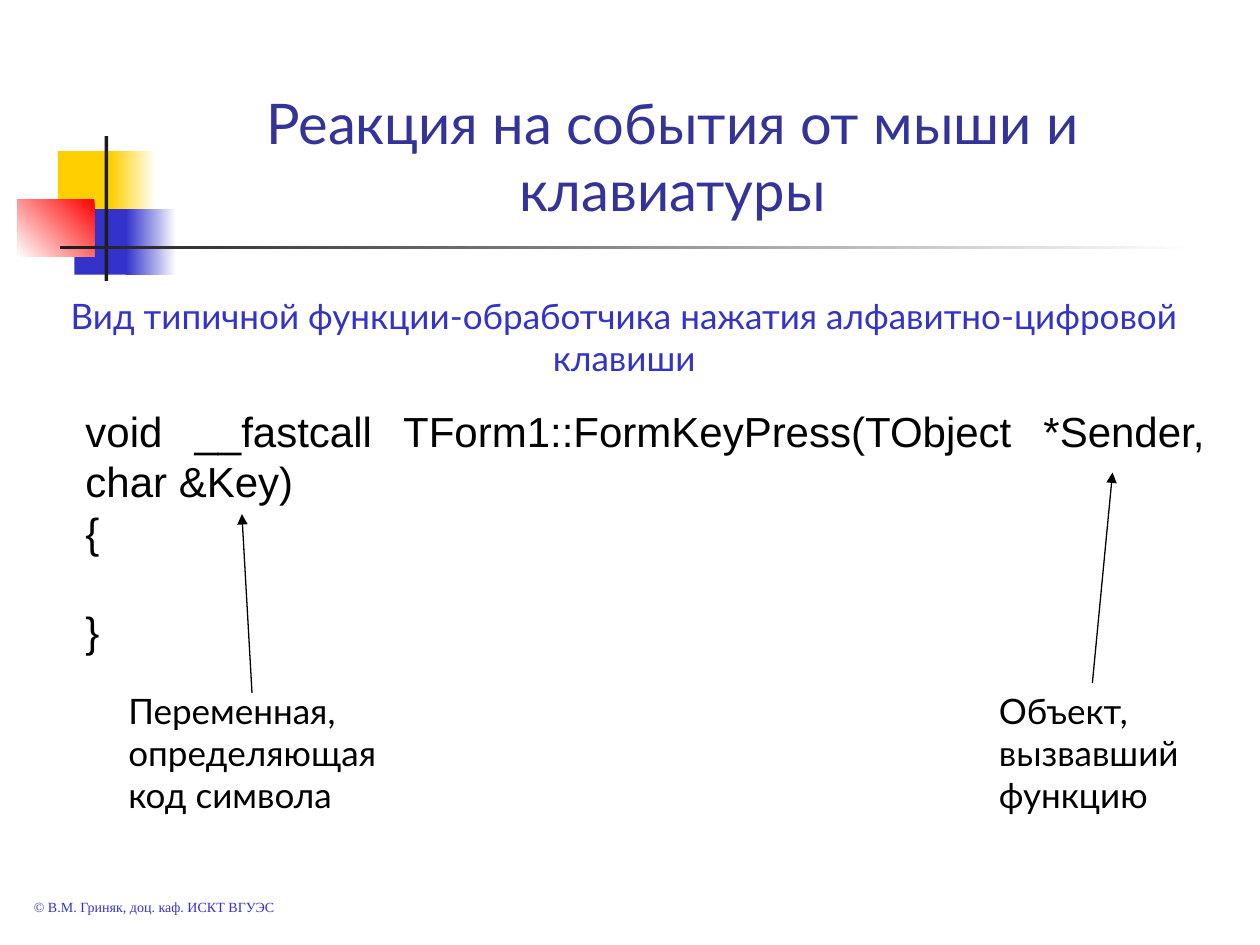
from dataclasses import dataclass

from lxml import etree
from pptx import Presentation
from pptx.dml.color import RGBColor
from pptx.enum.shapes import MSO_CONNECTOR, MSO_SHAPE
from pptx.enum.text import MSO_ANCHOR, MSO_AUTO_SIZE, PP_ALIGN
from pptx.oxml.ns import qn
from pptx.util import Emu, Pt

RECT = MSO_SHAPE.RECTANGLE
STRAIGHT = MSO_CONNECTOR.STRAIGHT
TOP, BOTTOM = MSO_ANCHOR.TOP, MSO_ANCHOR.BOTTOM
LEFT, CENTER, JUSTIFY = PP_ALIGN.LEFT, PP_ALIGN.CENTER, PP_ALIGN.JUSTIFY
FIT, FIXED = MSO_AUTO_SIZE.SHAPE_TO_FIT_TEXT, MSO_AUTO_SIZE.NONE

PX = 9144  # EMU per px, 100 px to the inch


@dataclass(frozen=True)
class Theme:
    # Colours
    white: str = "FFFFFF"
    black: str = "000000"
    dark: str = "1C1C1C"
    yellow: str = "FFCF01"
    red: str = "FF0000"
    blue: str = "3333CC"
    navy: str = "333399"
    # Fonts
    body_font: str = "Lato"
    code_font: str = "Arial"
    footer_font: str = "Times New Roman"
    # Type sizes and line width, in points
    title: int = 32
    code: int = 24
    body: int = 20
    footer: int = 8
    line: float = 0.75


class Deck:
    def __init__(self, theme, width, height):
        self.theme = theme
        self.prs = Presentation()
        self.prs.slide_width = Emu(width * PX)
        self.prs.slide_height = Emu(height * PX)
        self.s = self.prs.slides.add_slide(self.prs.slide_layouts[6])

    def box(self, place, color, end=None, angle=180):
        """Rectangle; with an end colour it fades, angle counter-clockwise."""
        sp = self.s.shapes.add_shape(RECT, *(Emu(v * PX) for v in place))
        sp.shadow.inherit = False
        sp.line.fill.background()
        if end is None:
            sp.fill.solid()
            sp.fill.fore_color.rgb = RGBColor.from_string(color)
            return
        sp.fill.gradient()
        sp.fill.gradient_angle = angle
        for stop, position, c in zip(sp.fill.gradient_stops, (0, 1), (color, end)):
            stop.position = position
            stop.color.rgb = RGBColor.from_string(c)

    def text(self, place, lines, size, color, font=None, align=LEFT,
             anchor=TOP, auto_size=FIT, gaps=None):
        """Text box; gaps maps a line index to its space before in points."""
        tf = self.s.shapes.add_textbox(*(Emu(v * PX) for v in place)).text_frame
        frame_format = {"word_wrap": True, "auto_size": auto_size,
                        "vertical_anchor": anchor}
        for name, value in frame_format.items():
            setattr(tf, name, value)
        font_format = {"size": Pt(size), "name": font or self.theme.body_font}
        for i, line in enumerate(lines):
            p = tf.paragraphs[0] if i == 0 else tf.add_paragraph()
            p.alignment = align
            if gaps and i in gaps:
                p.space_before = Pt(gaps[i])
            r = p.add_run()
            r.text = line
            for name, value in font_format.items():
                setattr(r.font, name, value)
            r.font.color.rgb = RGBColor.from_string(color)

    def arrow(self, start, end):
        cx = self.s.shapes.add_connector(
            STRAIGHT, *(Emu(v * PX) for v in (*start, *end)))
        cx.line.width = Pt(self.theme.line)
        cx.line.color.rgb = RGBColor.from_string(self.theme.black)
        ln = cx.line._get_or_add_ln()
        etree.SubElement(ln, qn("a:tailEnd"), type="triangle")
        etree.SubElement(cx._element.spPr, qn("a:effectLst"))

    def save(self):
        self.prs.save("out.pptx")


def main():
    t = Theme()
    deck = Deck(t, 1000, 750)

    # Corner ornament and rule under the title
    deck.box((46, 120, 48, 52), t.yellow)
    deck.box((88, 120, 36, 52), t.white, t.yellow)
    deck.box((59, 166, 46, 52), t.blue)
    deck.box((100, 166, 40, 52), t.white, t.blue)
    deck.box((14, 158, 61, 46), t.red, t.white, angle=225)
    deck.box((83, 108, 3, 115), t.dark)
    deck.box((48, 195, 900, 3), t.white, t.dark)

    # Footer, title and subtitle
    deck.text((17, 708, 267, 24), ["© В.М. Гриняк, доц. каф. ИСКТ ВГУЭС"],
              t.footer, t.blue, font=t.footer_font)
    deck.text((108, 58, 852, 124), ["Реакция на события от мыши и клавиатуры"],
              t.title, t.navy, align=CENTER, anchor=BOTTOM, auto_size=FIXED)
    deck.text((33, 229, 925, 77),
              ["Вид типичной функции-обработчика нажатия алфавитно-цифровой клавиши"],
              t.body, t.blue, align=CENTER)

    # Handler code, with one line's height open between the braces
    code = ["void __fastcall TForm1::FormKeyPress(TObject *Sender, char &Key)",
            "{", "}"]
    deck.text((58, 317, 908, 210), code, t.code, t.black, font=t.code_font,
              align=JUSTIFY, gaps={2: 28})

    # Notes on the parameters, each with its arrow
    notes = [
        ((92, 542, 242, 110), "Переменная, определяющая код символа",
         (200, 550), (192, 408)),
        ((783, 542, 167, 144), "Объект, вызвавший функцию",
         (867, 542), (883, 375)),
    ]
    for place, note, start, end in notes:
        deck.text(place, [note], t.body, t.black)
        deck.arrow(start, end)

    deck.save()


if __name__ == "__main__":
    main()
